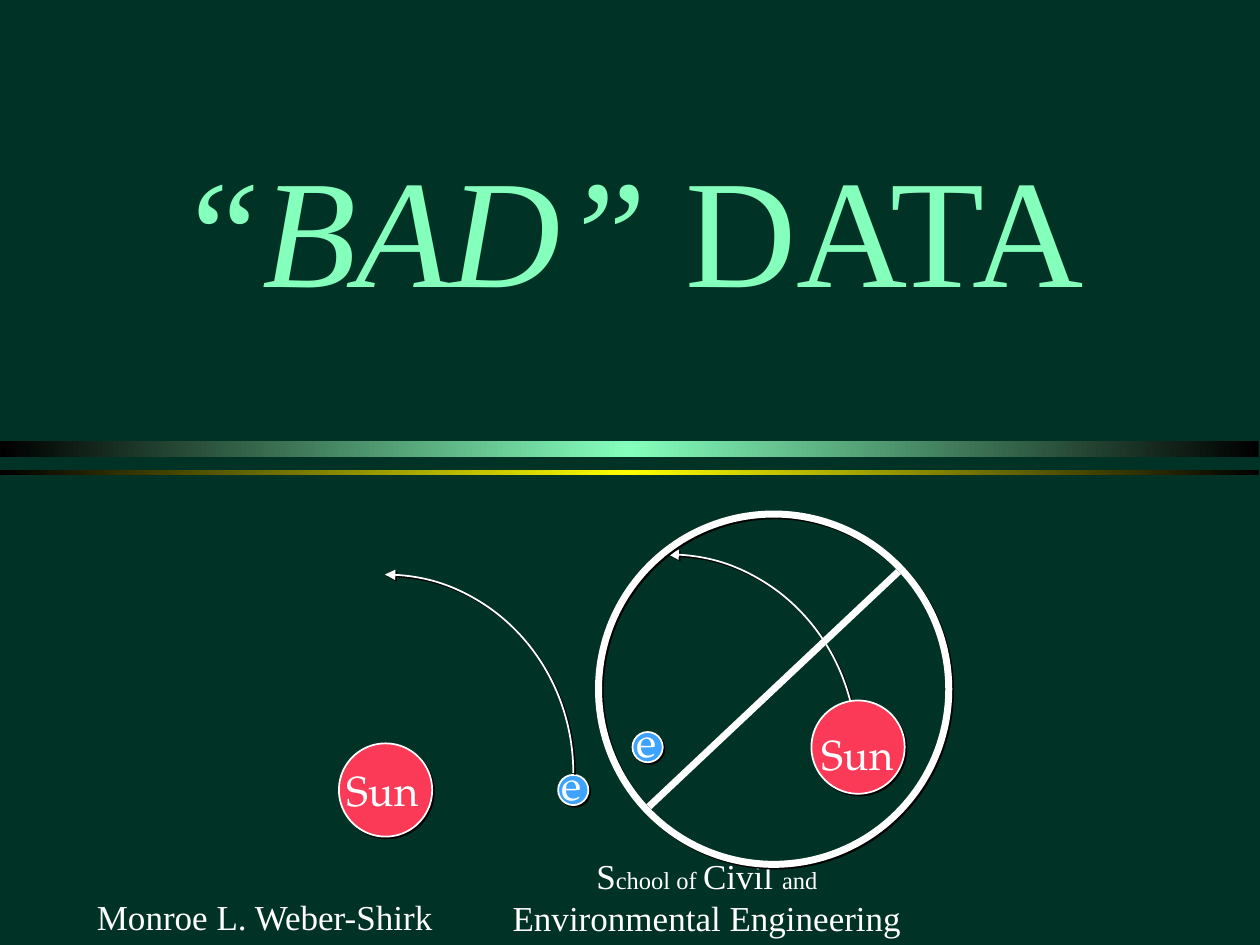
from lxml import etree
from pptx import Presentation
from pptx.dml.color import RGBColor
from pptx.enum.shapes import MSO_CONNECTOR, MSO_SHAPE
from pptx.enum.text import MSO_ANCHOR, MSO_AUTO_SIZE, PP_ALIGN
from pptx.oxml.ns import qn
from pptx.util import Inches, Pt

ARC, OVAL, RECTANGLE = MSO_SHAPE.ARC, MSO_SHAPE.OVAL, MSO_SHAPE.RECTANGLE
STRAIGHT = MSO_CONNECTOR.STRAIGHT
LEFT, CENTER = PP_ALIGN.LEFT, PP_ALIGN.CENTER
MIDDLE = MSO_ANCHOR.MIDDLE
NO_AUTOFIT = MSO_AUTO_SIZE.NONE

COLORS = {
    "background": "003225",
    "black": "000000",
    "mint": "85FFBC",
    "yellow": "FFFF00",
    "white": "FFFFFF",
    "sun": "FA3A57",
    "earth": "3DA3FF",
}
SERIF, LABEL_FONT = "Times New Roman", "TeX Gyre Pagella"
WIDTH, HEIGHT = 10, 7.5
SUN_SIZE, EARTH_SIZE = 0.74, 0.24
ORBIT_WIDTH, ORBIT_HEIGHT = 2.99, 3.15


def rgb(name):
    return RGBColor.from_string(COLORS[name])


def inches(*lengths):
    return [Inches(length) for length in lengths]


def add_shadow(effects):
    """Fill an effect list with a hard shadow to the lower right."""
    shadow = etree.SubElement(effects, qn("a:outerShdw"), dist=str(Pt(1.4)),
                              dir="2700000", algn="ctr", rotWithShape="0")
    etree.SubElement(shadow, qn("a:srgbClr"), val=COLORS["black"])


def add_run(paragraph, text, size, font=SERIF, color="white", italic=False, shadow=False):
    run = paragraph.add_run()
    run.text = text
    run.font.size = Pt(size)
    run.font.italic = italic
    run.font.color.rgb = rgb(color)
    if shadow:
        add_shadow(etree.SubElement(run.font._element, qn("a:effectLst")))
    run.font.name = font


def add_text(slide, box, runs, align=LEFT, wrap=True, **style):
    frame = slide.shapes.add_textbox(*inches(*box)).text_frame
    frame.word_wrap = wrap
    paragraph = frame.paragraphs[0]
    paragraph.alignment = align
    for text, size in runs:
        add_run(paragraph, text, size, **style)


def add_title(slide):
    title = slide.shapes.title
    title.left, title.top, title.width, title.height = inches(0.75, 1.17, 8.5, 1.25)
    frame = title.text_frame
    frame.auto_size = NO_AUTOFIT
    frame.vertical_anchor = MIDDLE
    paragraph = frame.paragraphs[0]
    paragraph.alignment = CENTER
    for text, italic in (("“BAD”", True), (" DATA", False)):
        add_run(paragraph, text, 88, color="mint", italic=italic, shadow=True)


def add_gradient_band(slide, top, height, color):
    """Draw a band that glows in the middle and fades to black at both ends."""
    band = slide.shapes.add_shape(RECTANGLE, *inches(0, top, WIDTH - 0.01, height))
    band.shadow.inherit = False
    band.line.fill.background()
    band.fill.gradient()
    band.fill.gradient_angle = 0
    stops = band.element.spPr.find(qn("a:gradFill")).find(qn("a:gsLst"))
    for stop in list(stops):
        stops.remove(stop)
    for position, name in ((0, "black"), (50000, color), (100000, "black")):
        stop = etree.SubElement(stops, qn("a:gs"), pos=str(position))
        etree.SubElement(stop, qn("a:srgbClr"), val=COLORS[name])


def add_outlined(slide, kind, box, fill=None, weight=1):
    shape = slide.shapes.add_shape(kind, *inches(*box))
    if fill:
        shape.fill.solid()
        shape.fill.fore_color.rgb = rgb(fill)
    else:
        shape.fill.background()
    shape.line.color.rgb = rgb("white")
    shape.line.width = Pt(weight)
    shape.shadow.inherit = False
    add_shadow(shape.element.spPr.find(qn("a:effectLst")))
    return shape


def add_body(slide, x, y, size, fill, text, label_width, label_shift):
    """Draw a labelled disc centred on (x, y)."""
    add_outlined(slide, OVAL, (x - size / 2, y - size / 2, size, size), fill)
    label_height = 0.5
    shift_x, shift_y = label_shift
    box = (x - label_width / 2 + shift_x, y - label_height / 2 + shift_y,
           label_width, label_height)
    add_text(slide, box, [(text, 24)], wrap=False, font=LABEL_FONT, shadow=True)


def add_sun(slide, x, y, label_shift):
    add_body(slide, x, y, SUN_SIZE, "sun", "Sun", 0.81, label_shift)


def add_earth(slide, x, y):
    add_body(slide, x, y, EARTH_SIZE, "earth", "e", 0.38, (0, -0.05))


def add_orbit(slide, left, top):
    arc = add_outlined(slide, ARC, (left, top, ORBIT_WIDTH, ORBIT_HEIGHT))
    etree.SubElement(arc.element.spPr.find(qn("a:ln")), qn("a:headEnd"), type="triangle")


def add_prohibition_sign(slide):
    slash = slide.shapes.add_connector(STRAIGHT, *inches(7.17, 4.5, 5.11, 6.44))
    slash.line.color.rgb = rgb("white")
    slash.line.width = Pt(4)
    etree.SubElement(slash.element.spPr, qn("a:effectLst"))
    add_outlined(slide, OVAL, (4.75, 4.08, 2.78, 2.78), weight=4)


def main():
    presentation = Presentation()
    presentation.slide_width, presentation.slide_height = inches(WIDTH, HEIGHT)
    slide = presentation.slides.add_slide(presentation.slide_layouts.get_by_name("Title Only"))
    slide.background.fill.solid()
    slide.background.fill.fore_color.rgb = rgb("background")

    add_title(slide)
    add_gradient_band(slide, 3.5, 0.13, "mint")
    add_gradient_band(slide, 3.73, 0.04, "yellow")
    add_text(slide, (0.67, 7.06, 3.58, 0.42), [("Monroe L. Weber-Shirk", 20)])
    school = [("S", 20), ("chool of ", 14), ("Civil ", 20), ("and", 14),
              (" Environmental Engineering", 20)]
    add_text(slide, (3.9, 6.73, 3.42, 0.77), school, align=CENTER)

    add_sun(slide, 3.06, 6.27, (0, 0))
    add_earth(slide, 4.55, 6.27)
    add_orbit(slide, 1.56, 4.56)

    add_earth(slide, 5.14, 5.93)
    add_orbit(slide, 3.81, 4.4)
    add_sun(slide, 6.81, 5.93, (0.02, 0.05))
    add_prohibition_sign(slide)

    presentation.save("out.pptx")


if __name__ == "__main__":
    main()
